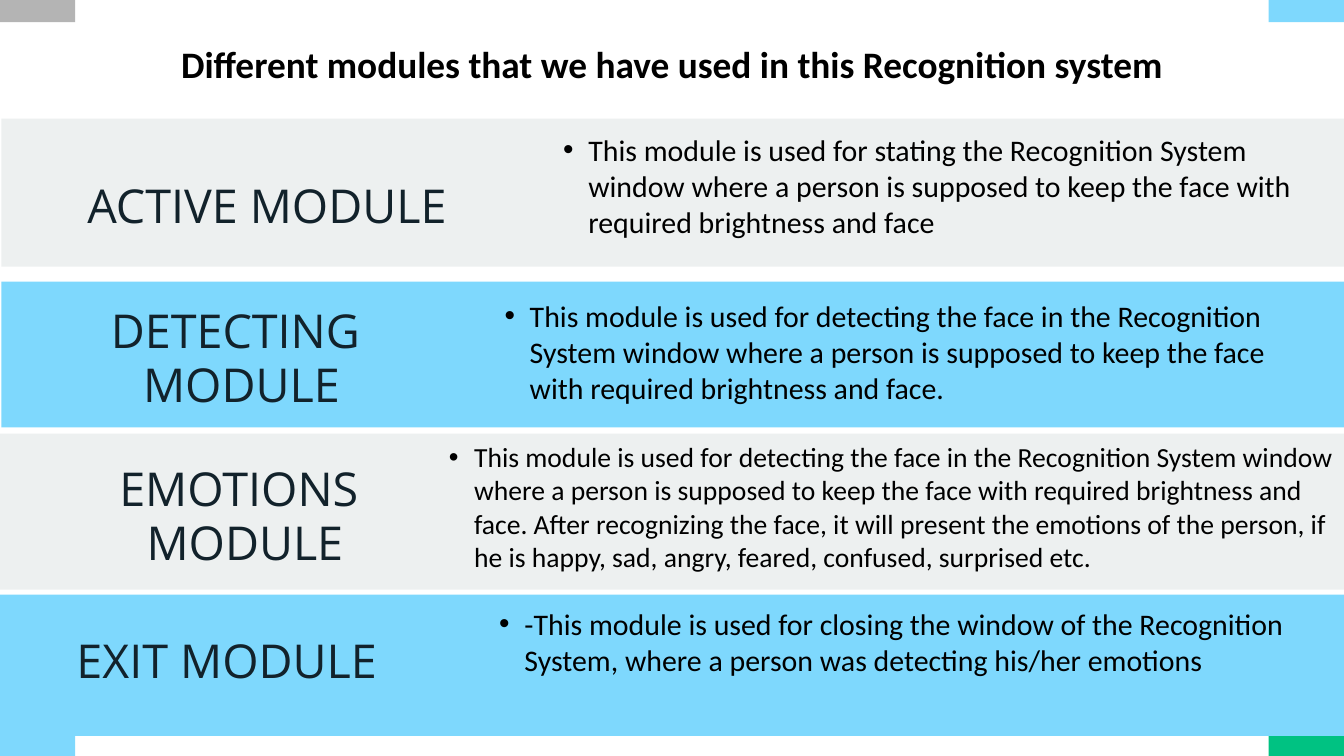
from dataclasses import dataclass

from lxml.etree import SubElement
from pptx import Presentation
from pptx.dml.color import RGBColor as Rgb
from pptx.enum.shapes import MSO_SHAPE as Preset
from pptx.enum.text import MSO_ANCHOR as Anchor, MSO_AUTO_SIZE as AutoSize, PP_ALIGN as Align
from pptx.oxml.ns import qn
from pptx.slide import Slide
from pptx.text.text import TextFrame
from pptx.util import Pt


@dataclass(frozen=True)
class Theme:
    sky: Rgb = Rgb(0x7E, 0xD8, 0xFD)
    mist: Rgb = Rgb(0xED, 0xF0, 0xF0)
    green: Rgb = Rgb(0x00, 0xC2, 0x82)
    grey: Rgb = Rgb(0xB4, 0xB4, 0xB4)
    ink: Rgb = Rgb(0x12, 0x22, 0x2B)
    black: Rgb = Rgb(0, 0, 0)
    heading_font: str = "Open Sans"
    body_font: str = "Calibri"
    title_size: float = 40
    heading_size: float = 50
    body_size: float = 32
    dense_size: float = 29.6
    title_leading: float = 33.6
    heading_leading: float = 58
    bullet_indent: float = 27


@dataclass(frozen=True)
class Box:
    left: float
    top: float
    width: float
    height: float

    def lengths(self) -> tuple[Pt, Pt, Pt, Pt]:
        return Pt(self.left), Pt(self.top), Pt(self.width), Pt(self.height)


@dataclass(frozen=True)
class Module:
    name: str
    description: str
    band: Box
    color: Rgb
    name_box: Box
    description_box: Box
    description_size: float


THEME = Theme()
SLIDE_W, SLIDE_H = 1440, 810
CORNER_W, CORNER_H = 80.64, 23.76

TITLE = "Different modules that we have used in this Recognition system"
TITLE_BOX = Box(142, 59, 1156, 37)

CORNERS = [
    (0, 0, THEME.grey),
    (SLIDE_W - CORNER_W, 0, THEME.sky),
    (0, SLIDE_H - CORNER_H, THEME.sky),
    (SLIDE_W - CORNER_W, SLIDE_H - CORNER_H, THEME.green),
]

MODULES = [
    Module(
        "ACTIVE MODULE",
        "This module is used for stating the Recognition System window where a person "
        "is supposed to keep the face with required brightness and face",
        Box(1.44, 127, 1440, 158.6), THEME.mist,
        Box(59, 191.5, 454.3, 59), Box(596.2, 137.5, 802.8, 141), THEME.body_size),
    Module(
        "DETECTING \nMODULE",
        "This module is used for detecting the face in the Recognition System window "
        "where a person is supposed to keep the face with required brightness and face.",
        Box(1.44, 301.7, 1440, 156.3), THEME.sky,
        Box(-92.2, 325.4, 702, 117.4), Box(533.5, 315.4, 830.2, 162), THEME.body_size),
    Module(
        "EMOTIONS\n MODULE",
        "This module is used for detecting the face in the Recognition System window "
        "where a person is supposed to keep the face with required brightness and face. "
        "After recognizing the face, it will present the emotions of the person, if he is "
        "happy, sad, angry, feared, confused, surprised etc.",
        Box(0, 464.6, 1440, 167.2), THEME.mist,
        Box(-1.44, 494.6, 514.8, 117.4), Box(473.8, 468, 966.2, 162), THEME.dense_size),
    Module(
        "EXIT MODULE",
        "-This module is used for closing the window of the Recognition System, where a "
        "person was detecting his/her emotions",
        Box(0, 637.2, 1440, 151.2), THEME.sky,
        Box(-14.4, 679, 514.8, 58.3), Box(527.8, 645, 908.6, 137.5), THEME.body_size),
]


def add_block(slide: Slide, box: Box, color: Rgb) -> None:
    block = slide.shapes.add_shape(Preset.RECTANGLE, *box.lengths())
    block.shadow.inherit = False
    block.fill.solid()
    block.fill.fore_color.rgb = color
    block.line.fill.background()


def format_runs(frame: TextFrame, font: str, size: float, color: Rgb, bold: bool = False) -> None:
    for paragraph in frame.paragraphs:
        for run in paragraph.runs:
            run.font.name = font
            run.font.size = Pt(size)
            run.font.color.rgb = color
            run.font.bold = bold


def set_centered(frame: TextFrame, text: str, leading: float) -> None:
    """Centred lines of exact height in a frame without insets."""
    frame.text = text
    frame.word_wrap = True
    frame.auto_size = AutoSize.NONE
    frame.vertical_anchor = Anchor.TOP
    frame.margin_left = frame.margin_top = frame.margin_right = frame.margin_bottom = 0
    for paragraph in frame.paragraphs:
        paragraph.alignment = Align.CENTER
        paragraph.line_spacing = Pt(leading)


def add_title(slide: Slide) -> None:
    title = slide.shapes.title
    title.left, title.top, title.width, title.height = TITLE_BOX.lengths()
    set_centered(title.text_frame, TITLE, THEME.title_leading)
    format_runs(title.text_frame, THEME.body_font, THEME.title_size, THEME.black, bold=True)


def add_name(slide: Slide, module: Module) -> None:
    frame = slide.shapes.add_textbox(*module.name_box.lengths()).text_frame
    set_centered(frame, module.name, THEME.heading_leading)
    format_runs(frame, THEME.heading_font, THEME.heading_size, THEME.ink)


def add_description(slide: Slide, module: Module) -> None:
    frame = slide.shapes.add_textbox(*module.description_box.lengths()).text_frame
    frame.word_wrap = True
    frame.text = module.description
    # Hanging bullet
    properties = frame.paragraphs[0]._p.get_or_add_pPr()
    properties.set("marL", str(Pt(THEME.bullet_indent)))
    properties.set("indent", str(-Pt(THEME.bullet_indent)))
    SubElement(properties, qn("a:buFont"), typeface="Arial")
    SubElement(properties, qn("a:buChar"), char="•")
    format_runs(frame, THEME.body_font, module.description_size, THEME.black)


def main() -> None:
    deck = Presentation()
    deck.slide_width, deck.slide_height = Pt(SLIDE_W), Pt(SLIDE_H)
    title_only = deck.slide_layouts[5]
    slide = deck.slides.add_slide(title_only)

    # Corner accents
    for left, top, color in CORNERS:
        add_block(slide, Box(left, top, CORNER_W, CORNER_H), color)

    # One band per module
    for module in MODULES:
        add_block(slide, module.band, module.color)
        add_name(slide, module)
        add_description(slide, module)

    add_title(slide)
    deck.save("out.pptx")


if __name__ == "__main__":
    main()
